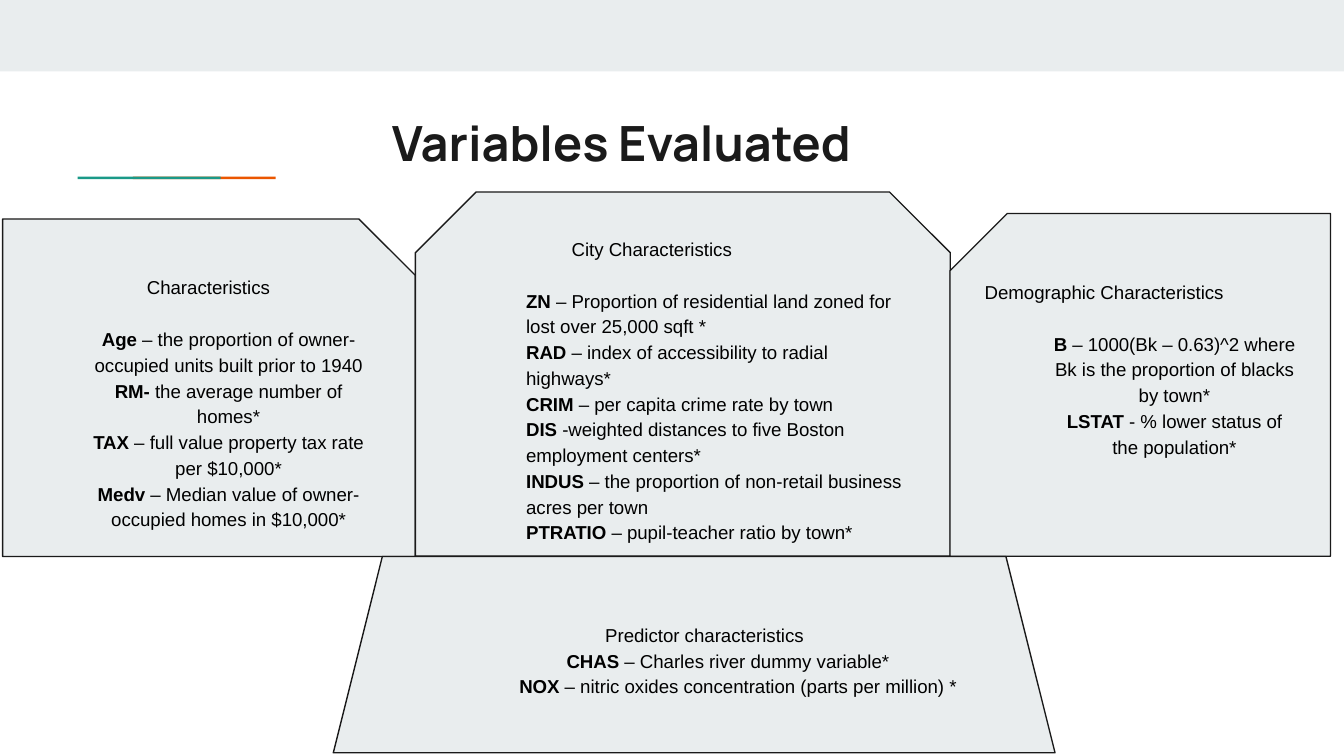
from dataclasses import dataclass

from pptx import Presentation
from pptx import util as u
from pptx.dml.color import RGBColor
from pptx.enum import shapes, text


@dataclass(frozen=True)
class Theme:
    panel: RGBColor = RGBColor(0xE9, 0xED, 0xEE)
    ink: RGBColor = RGBColor(0x1A, 0x1A, 0x1A)
    body: RGBColor = RGBColor(0, 0, 0)
    teal: RGBColor = RGBColor(0x1A, 0x99, 0x88)
    orange: RGBColor = RGBColor(0xEB, 0x56, 0x00)
    title_font: str = "Manrope"
    body_font: str = "Arial"
    title_size: u.Pt = u.Pt(26)
    body_size: u.Pt = u.Pt(10)
    outline: u.Pt = u.Pt(0.75)
    line_spacing: float = 1.15
    blank_line: u.Pt = u.Pt(13.8)
    inset: u.Cm = u.Cm(0.25)
    indent: float = 1.27


THEME = Theme()
LEFT, CENTER = text.PP_ALIGN.LEFT, text.PP_ALIGN.CENTER
SHAPE = shapes.MSO_SHAPE

BUILDING = [
    ("Age ", "– the proportion of owner-occupied units built prior to 1940"),
    ("RM-", " the average number of homes*"),
    ("TAX", " – full value property tax rate per $10,000*"),
    ("Medv ", "– Median value of owner-occupied homes in $10,000*"),
]
CITY = [
    ("ZN ", "– Proportion of residential land zoned for lost over 25,000 sqft *"),
    ("RAD ", "– index of accessibility to radial highways*"),
    ("CRIM ", "– per capita crime rate by town"),
    ("DIS ", "-weighted distances to five Boston employment centers*"),
    ("INDUS ", "– the proportion of non-retail business acres per town"),
    ("PTRATIO ", "– pupil-teacher ratio by town*"),
]
DEMOGRAPHIC = [
    ("B ", "– 1000(Bk – 0.63)^2 where Bk is the proportion of blacks by town*"),
    ("LSTAT", " - % lower status of the population*"),
]
PREDICTOR = [
    ("CHAS ", "– Charles river dummy variable*"),
    ("NOX ", "– nitric oxides concentration (parts per million) *"),
]


def cm_box(box):
    return [u.Cm(length) for length in box]


def add_panel(slide, kind, box, fill, adjustments=(), outlined=True):
    shape = slide.shapes.add_shape(kind, *cm_box(box))
    shape.shadow.inherit = False
    shape.fill.solid()
    shape.fill.fore_color.rgb = fill
    for index, value in enumerate(adjustments):
        shape.adjustments[index] = value
    if outlined:
        shape.line.color.rgb = THEME.ink
        shape.line.width = THEME.outline
    else:
        shape.line.fill.background()
    return shape


def add_text_box(slide, box):
    shape = slide.shapes.add_textbox(*cm_box(box))
    prepare_frame(shape, text.MSO_ANCHOR.TOP)
    return shape


def prepare_frame(shape, anchor):
    frame = shape.text_frame
    frame.word_wrap = True
    frame.vertical_anchor = anchor
    frame.margin_left = frame.margin_right = THEME.inset
    frame.margin_top = frame.margin_bottom = THEME.inset


def format_paragraph(paragraph, align, indent):
    paragraph.alignment = align
    paragraph.line_spacing = THEME.line_spacing
    properties = paragraph._p.get_or_add_pPr()
    properties.set("marL", str(u.Cm(indent)))
    properties.set("indent", "0")
    for run in paragraph.runs:
        run.font.name = THEME.body_font
        run.font.size = THEME.body_size
        run.font.color.rgb = THEME.body


def write_variables(shape, heading, variables, heading_align, heading_indent,
                    align, gap=True, last_indent=THEME.indent):
    frame = shape.text_frame
    frame.text = heading
    first = frame.paragraphs[0]
    format_paragraph(first, heading_align, heading_indent)
    if gap:
        first.space_after = THEME.blank_line
    for term, meaning in variables:
        paragraph = frame.add_paragraph()
        paragraph.text = term
        paragraph.runs[0].font.bold = True
        paragraph.add_run().text = meaning
        is_last = term == variables[-1][0]
        format_paragraph(paragraph, align, last_indent if is_last else THEME.indent)


def add_title(slide, wording):
    shape = add_text_box(slide, (4.93, 1.88, 13.64, 1.5))
    shape.text_frame.text = wording
    paragraph = shape.text_frame.paragraphs[0]
    paragraph.alignment = CENTER
    font = paragraph.runs[0].font
    font.name, font.size, font.bold = THEME.title_font, THEME.title_size, True
    font.color.rgb = THEME.ink


def main():
    presentation = Presentation()
    presentation.slide_width, presentation.slide_height = u.Cm(25.4), u.Cm(14.29)
    slide = presentation.slides.add_slide(presentation.slide_layouts[6])

    # Top band and two-colour accent rule
    add_panel(slide, SHAPE.RECTANGLE, (0, 0, 25.4, 1.35), THEME.panel, outlined=False)
    for left, colour in ((2.51, THEME.orange), (1.47, THEME.teal)):
        add_panel(slide, SHAPE.RECTANGLE, (left, 3.34, 2.7, 0.05), colour, outlined=False)

    add_title(slide, "Variables Evaluated")

    # Left panel
    building = add_panel(slide, SHAPE.SNIP_1_RECTANGLE, (0.05, 4.14, 7.8, 6.38),
                         THEME.panel, [0.167])
    prepare_frame(building, text.MSO_ANCHOR.MIDDLE)
    write_variables(building, "Characteristics", BUILDING, CENTER, 0.51, CENTER)

    # Middle panel
    city = add_panel(slide, SHAPE.SNIP_2_SAME_RECTANGLE, (7.85, 3.63, 10.11, 6.88),
                     THEME.panel, [0.167, 0])
    prepare_frame(city, text.MSO_ANCHOR.MIDDLE)
    write_variables(city, "City Characteristics", CITY, LEFT, 2.13, LEFT)

    # Right panel, turned so that its snipped corner is at the top left
    side = add_panel(slide, SHAPE.SNIP_1_RECTANGLE, (18.31, 3.68, 6.48, 7.19),
                     THEME.panel, [0.167])
    side.rotation = 270
    demographic = add_text_box(slide, (18.36, 5, 6.4, 4.67))
    write_variables(demographic, "Demographic Characteristics", DEMOGRAPHIC,
                    LEFT, 0, CENTER)

    # Base panel
    base = add_panel(slide, SHAPE.TRAPEZOID, (6.3, 10.52, 13.64, 3.71),
                     THEME.panel, [0.25])
    prepare_frame(base, text.MSO_ANCHOR.MIDDLE)
    write_variables(base, "Predictor characteristics", PREDICTOR, LEFT, 4.27, CENTER,
                    gap=False, last_indent=1.65)

    presentation.save("out.pptx")


if __name__ == "__main__":
    main()
